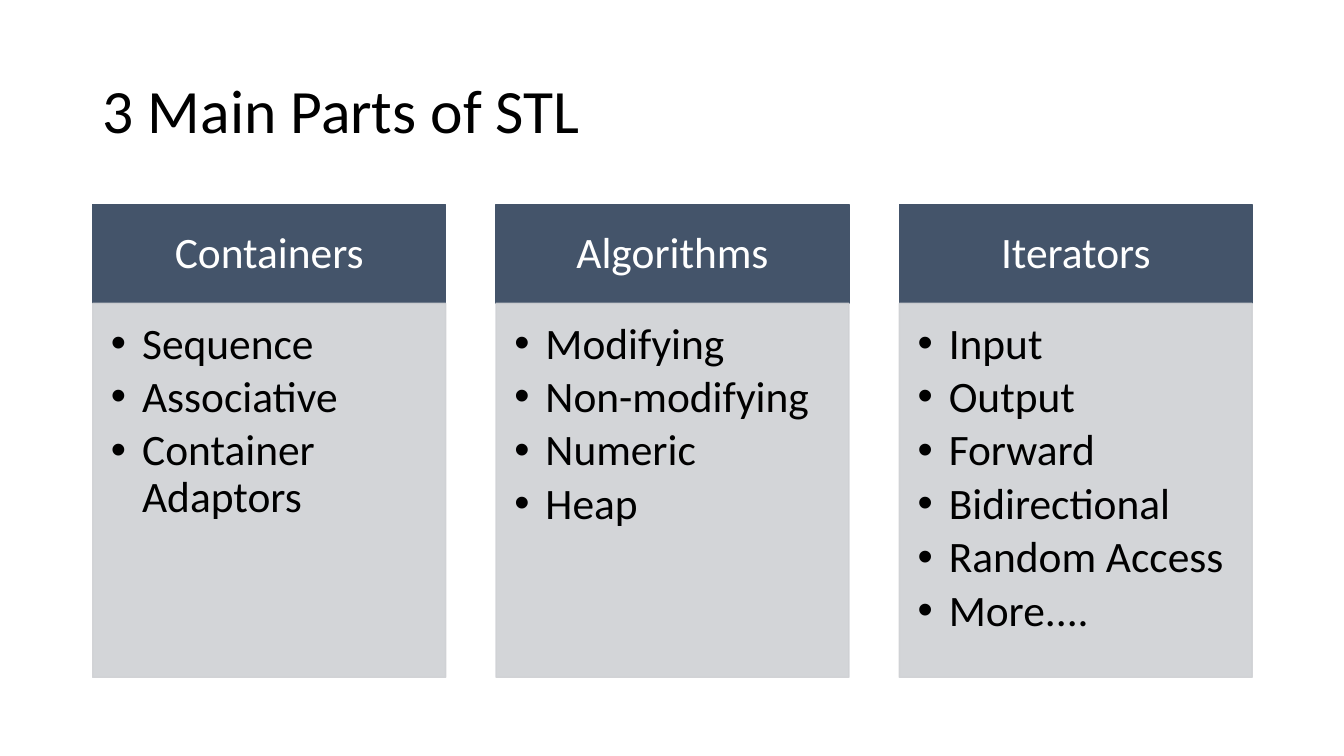
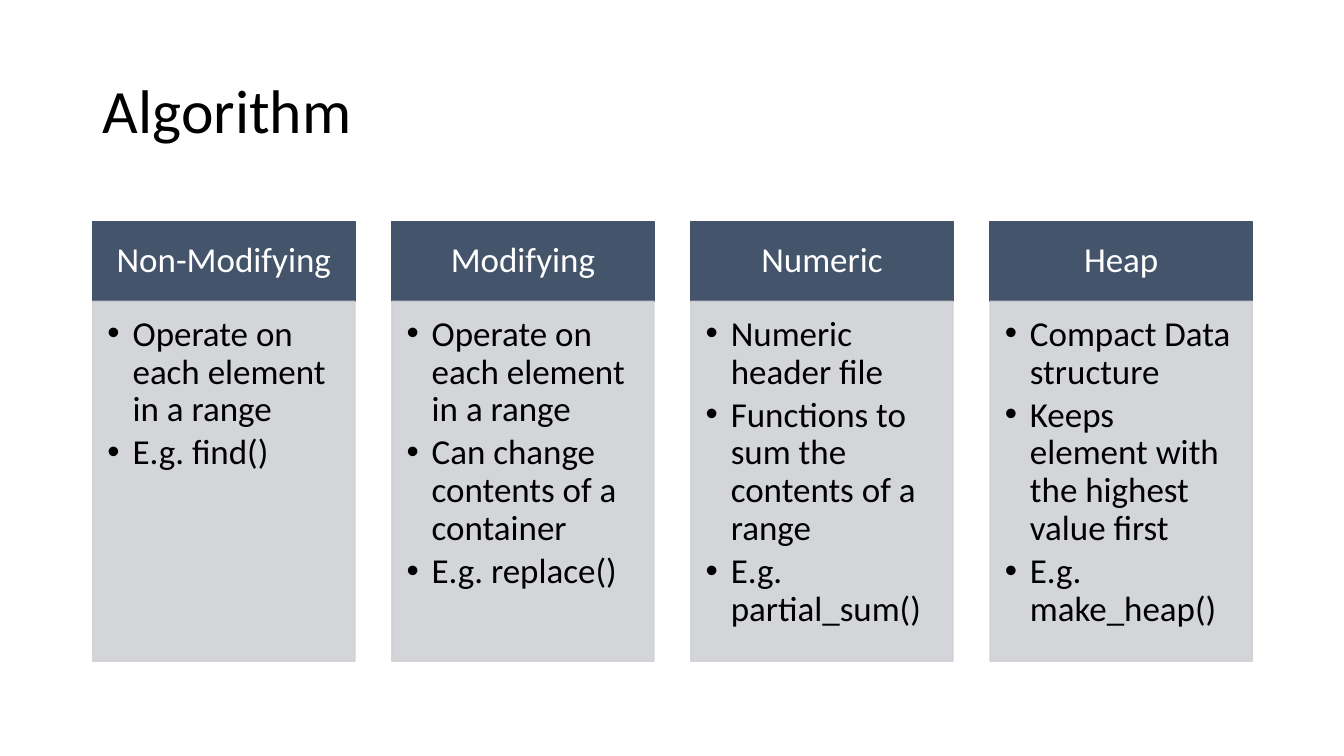
import lxml.etree
import pptx
import pptx.dml.color
import pptx.enum.shapes
import pptx.enum.text
import pptx.oxml.ns
import pptx.util

Inches = pptx.util.Inches
Pt = pptx.util.Pt
RGBColor = pptx.dml.color.RGBColor
ALIGN = pptx.enum.text.PP_ALIGN
ANCHOR = pptx.enum.text.MSO_ANCHOR

SLATE = RGBColor(0x44, 0x54, 0x6A)
MIST = RGBColor(0xCF, 0xD1, 0xD4)
BLACK = RGBColor(0, 0, 0)
WHITE = RGBColor(0xFF, 0xFF, 0xFF)
FONT = "Calibri"
LINE_SPACING = 0.9
LEFT, CONTENT_WIDTH = Inches(0.92), Inches(11.5)

# Column measures as multiples of the text size
HEADER_INSETS = (0.56, 0.32, 0.56, 0.32)
LIST_INSETS = (0.42, 0.42, 0.56, 0.63)
BULLET_INDENT = 0.72
ITEM_GAP = 0.15


def add_child(parent, tag, **attributes):
    """Append a DrawingML element to parent."""
    return lxml.etree.SubElement(parent, pptx.oxml.ns.qn(tag), attributes)


def style_para(para, size, color, align):
    """Format a paragraph and its runs."""
    para.alignment = align
    para.line_spacing = LINE_SPACING
    for span in para.runs:
        span.font.name = FONT
        span.font.size = Pt(size)
        span.font.color.rgb = color


def add_bullet(para, size):
    """Give a paragraph a hanging round bullet."""
    para.space_after = Pt(size * ITEM_GAP)
    indent = Pt(size * BULLET_INDENT)
    properties = para._p.get_or_add_pPr()
    properties.set("marL", str(indent))
    properties.set("indent", str(-indent))
    add_child(properties, "a:buFont", typeface="Arial")
    add_child(properties, "a:buChar", char="•")


def add_panel(page, box, color, insets, size, anchor, text):
    """Add a filled rectangle holding text, with insets scaled to its size."""
    panel = page.shapes.add_shape(pptx.enum.shapes.MSO_SHAPE.RECTANGLE, *box)
    panel.shadow.inherit = False
    panel.fill.solid()
    panel.fill.fore_color.rgb = color
    panel.line.color.rgb = color
    panel.line.width = Pt(1)
    frame = panel.text_frame
    frame.word_wrap = True
    frame.vertical_anchor = anchor
    (frame.margin_left, frame.margin_top,
     frame.margin_right, frame.margin_bottom) = [Pt(size * inset) for inset in insets]
    frame.text = text
    return panel


def add_column(page, box, header_height, size, heading, items):
    """Add a header with a bulleted list panel below it, filling box."""
    left, top, width, height = box
    header = add_panel(page, (left, top, width, header_height), SLATE,
                       HEADER_INSETS, size, ANCHOR.MIDDLE, heading)
    style_para(header.text_frame.paragraphs[0], size, WHITE, ALIGN.CENTER)

    body_box = (left, top + header_height, width, height - header_height)
    body = add_panel(page, body_box, MIST, LIST_INSETS, size, ANCHOR.TOP,
                     "\n".join(items))
    for color in body._element.spPr.iter(pptx.oxml.ns.qn("a:srgbClr")):
        add_child(color, "a:alpha", val="90000")
    for para in body.text_frame.paragraphs:
        style_para(para, size, BLACK, ALIGN.LEFT)
        add_bullet(para, size)


def add_title(page, box, text):
    """Place and format the title placeholder in box."""
    title = page.shapes.title
    title.left, title.top, title.width, title.height = box
    frame = title.text_frame
    frame.text = text
    frame.word_wrap = True
    frame.auto_size = pptx.enum.text.MSO_AUTO_SIZE.NONE
    frame.vertical_anchor = ANCHOR.MIDDLE
    style_para(frame.paragraphs[0], 44, BLACK, ALIGN.LEFT)


def add_column_page(deck, title, box, column_width, header_height, size, columns):
    """Add a page with a title and columns spread evenly across box."""
    page = deck.slides.add_slide(deck.slide_layouts.get_by_name("Title Only"))
    add_title(page, (LEFT, Inches(0.4), CONTENT_WIDTH, Inches(1.45)), title)
    left, top, width, height = box
    pitch = (width - column_width) // (len(columns) - 1)
    for index, (heading, items) in enumerate(columns.items()):
        column_box = (left + index * pitch, top, column_width, height)
        add_column(page, column_box, header_height, size, heading, items)


PARTS = {
    "Containers": ["Sequence", "Associative", "Container Adaptors"],
    "Algorithms": ["Modifying", "Non-modifying", "Numeric", "Heap"],
    "Iterators": ["Input", "Output", "Forward", "Bidirectional",
                  "Random Access", "More...."],
}
ALGORITHMS = {
    "Non-Modifying": ["Operate on each element in a range", "E.g. find()"],
    "Modifying": ["Operate on each element in a range",
                  "Can change contents of a container", "E.g. replace()"],
    "Numeric": ["Numeric header file",
                "Functions to sum the contents of a range",
                "E.g. partial_sum()"],
    "Heap": ["Compact Data structure",
             "Keeps element with the highest value first",
             "E.g. make_heap()"],
}

deck = pptx.Presentation()
deck.slide_width, deck.slide_height = Inches(13.33), Inches(7.5)
add_column_page(deck, "3 Main Parts of STL",
                (LEFT, Inches(2.03), CONTENT_WIDTH, Inches(4.69)),
                Inches(3.5), Inches(0.98), 31, PARTS)
add_column_page(deck, "Algorithm",
                (LEFT, Inches(2.2), CONTENT_WIDTH, Inches(4.36)),
                Inches(2.6), Inches(0.79), 25, ALGORITHMS)
deck.save("out.pptx")
